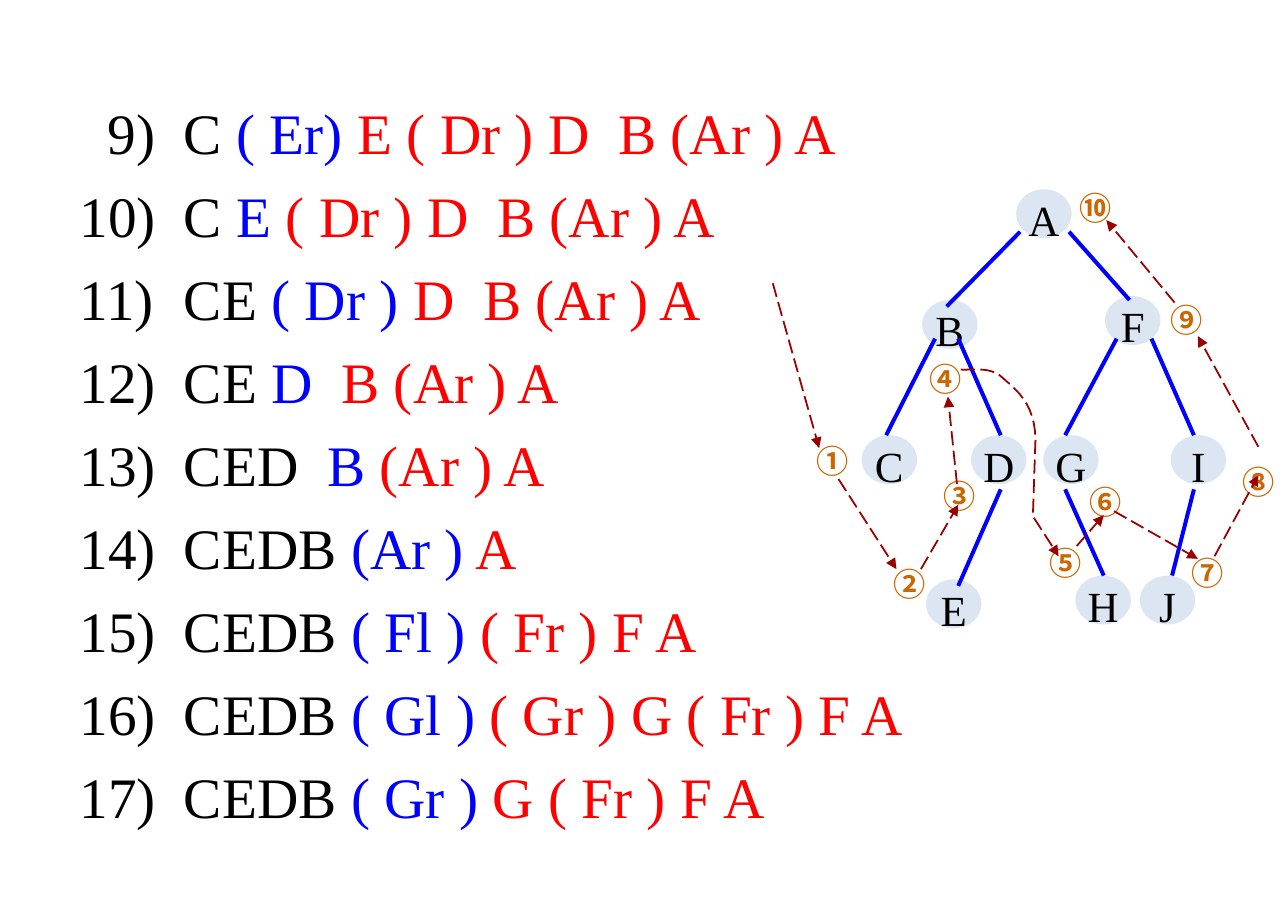
import pptx
import pptx.util
import pptx.dml.color
import pptx.enum.dml
import pptx.enum.shapes
import pptx.enum.text
import pptx.oxml

Inches = pptx.util.Inches
Pt = pptx.util.Pt
RGBColor = pptx.dml.color.RGBColor
Shape = pptx.enum.shapes.MSO_SHAPE
Align = pptx.enum.text.PP_ALIGN
Anchor = pptx.enum.text.MSO_ANCHOR

BLACK = RGBColor(0x00, 0x00, 0x00)
BLUE = RGBColor(0x00, 0x00, 0xFF)
RED = RGBColor(0xFF, 0x00, 0x00)
PALE = RGBColor(0xDC, 0xE6, 0xF2)
ORANGE = RGBColor(0xCC, 0x66, 0x00)
MAROON = RGBColor(0x99, 0x00, 0x00)
SERIF = "Times New Roman"
CJK = "Noto Sans CJK SC"

# Traversal steps from 9 on: output so far, current item, rest of the stack
FIRST = 9
STEPS = [
    ("C ", "( Er)", " E ( Dr ) D  B (Ar ) A"),
    ("C ", "E", " ( Dr ) D  B (Ar ) A"),
    ("CE ", "( Dr )", " D  B (Ar ) A"),
    ("CE ", "D", "  B (Ar ) A"),
    ("CED  ", "B ", "(Ar ) A"),
    ("CEDB ", "(Ar )", " A"),
    ("CEDB ", "( Fl ) ", "( Fr ) F A"),
    ("CEDB ", "( Gl ) ", "( Gr ) G ( Fr ) F A"),
    ("CEDB ", "( Gr )", " G ( Fr ) F A"),
]

# Tree nodes: left, top
NODES = {
    "A": (7.89, 1.47), "B": (7.16, 2.33), "F": (8.58, 2.3),
    "C": (6.69, 3.38), "D": (7.54, 3.38), "G": (8.1, 3.38),
    "I": (9.09, 3.38), "E": (7.19, 4.5), "H": (8.35, 4.47),
    "J": (8.85, 4.47),
}
EDGES = [
    ((7.92, 1.8), (7.35, 2.38)), ((8.3, 1.8), (8.77, 2.33)),
    ((7.26, 2.63), (6.88, 3.38)), ((7.44, 2.63), (7.77, 3.38)),
    ((8.67, 2.63), (8.27, 3.38)), ((8.94, 2.63), (9.27, 3.38)),
    ((7.77, 3.8), (7.44, 4.55)), ((8.27, 3.8), (8.57, 4.47)),
    ((9.27, 3.8), (9.1, 4.47)),
]

# Visit order: left, top of each mark
MARKS = {
    "①": (6.24, 3.38), "②": (6.84, 4.33), "③": (7.23, 3.65),
    "④": (7.12, 2.74), "⑤": (8.05, 4.17), "⑥": (8.36, 3.7),
    "⑦": (9.15, 4.25), "⑧": (9.55, 3.54), "⑨": (8.99, 2.28),
    "⑩": (8.28, 1.41),
}
ARROWS = [
    ((6, 2.2), (6.36, 3.48)), ((6.51, 3.72), (6.96, 4.42)),
    ((7.15, 4.42), (7.44, 3.92)), ((7.43, 3.76), (7.36, 3.08)),
    ((8.36, 4.24), (8.57, 4)), ((8.65, 3.97), (9.3, 4.34)),
    ((9.43, 4.32), (9.77, 3.69)), ((9.77, 3.47), (9.3, 2.61)),
    ((9.12, 2.35), (8.59, 1.71)),
]
# Bent arrow from mark 4 to mark 5: two Bezier arcs, then corners
ARCS = [
    ((7.46, 2.87), (7.51, 2.88), (7.69, 2.84), (7.78, 2.93)),
    ((7.78, 2.93), (7.88, 3.02), (8.04, 3.13), (8.04, 3.42)),
]
BENDS = [(8.02, 4.01), (8.22, 4.32)]

deck = pptx.Presentation()
deck.slide_width, deck.slide_height = Inches(10), Inches(7.09)
slide = deck.slides.add_slide(deck.slide_layouts[6])
shapes = slide.shapes


def write(para, text, size=32, font=SERIF, color=BLACK, bold=False):
    run = para.add_run()
    run.text = text
    run.font.size = Pt(size)
    run.font.name = font
    run.font.bold = bold
    run.font.color.rgb = color
    # East Asian glyphs take their font from a separate element
    tag = pptx.oxml.xmlchemy.OxmlElement("a:ea")
    tag.set("typeface", font)
    run.font._element.append(tag)


def add(parent, name, **attrs):
    tag = pptx.oxml.xmlchemy.OxmlElement(name)
    for key, value in attrs.items():
        tag.set(key, value)
    parent.append(tag)


def dash(shape):
    shape.line.color.rgb = MAROON
    shape.line.width = Pt(1)
    shape.line.dash_style = pptx.enum.dml.MSO_LINE.LONG_DASH
    add(shape.line._get_or_add_ln(), "a:tailEnd", type="triangle")


def link(start, end):
    line = shapes.add_connector(
        pptx.enum.shapes.MSO_CONNECTOR.STRAIGHT,
        *[Inches(v) for v in start + end])
    add(line._element.spPr, "a:effectLst")
    return line


def curve(arc, count=12):
    for i in range(1, count + 1):
        t = i / count
        mix = ((1 - t) ** 3, 3 * t * (1 - t) ** 2, 3 * t * t * (1 - t), t ** 3)
        yield tuple(sum(m * p[k] for m, p in zip(mix, arc)) for k in (0, 1))


# Step list: number, tab, then three coloured parts
box = shapes.add_textbox(Inches(0.52), Inches(0.71), Inches(9), Inches(5.98))
frame = box.text_frame
frame.word_wrap = True
HANG, DIGIT = 0.81, 0.22
for i, parts in enumerate(STEPS):
    para = frame.paragraphs[0] if i == 0 else frame.add_paragraph()
    num = str(FIRST + i)
    para.space_before = Pt(8)
    props = para._p.get_or_add_pPr()
    props.set("marL", str(Inches(HANG)))
    props.set("indent", str(Inches(DIGIT * (2 - len(num)) - HANG)))
    write(para, f"{num})\t")
    for text, color in zip(parts, (BLACK, BLUE, RED)):
        write(para, text, color=color)

# Tree nodes, then edges over them
for name, (x, y) in NODES.items():
    node = shapes.add_shape(Shape.OVAL, Inches(x), Inches(y),
                            Inches(0.43), Inches(0.38))
    node.shadow.inherit = False
    node.fill.solid()
    node.fill.fore_color.rgb = PALE
    node.line.fill.background()
    node.text_frame.word_wrap = False
    node.text_frame.vertical_anchor = Anchor.MIDDLE
    para = node.text_frame.paragraphs[0]
    para.alignment = Align.CENTER
    para.line_spacing = 1.2
    para.space_before = Pt(4.8)
    write(para, name, size=24)
for start, end in EDGES:
    edge = link(start, end)
    edge.line.color.rgb = BLUE
    edge.line.width = Pt(2.25)

# Visit marks
for mark, (x, y) in MARKS.items():
    box = shapes.add_textbox(Inches(x), Inches(y), Inches(0.49), Inches(0.4))
    box.text_frame.word_wrap = True
    write(box.text_frame.paragraphs[0], mark, size=18, font=CJK,
          color=ORANGE, bold=True)

# Dashed path between the marks
for start, end in ARROWS:
    dash(link(start, end))
route = [p for arc in ARCS for p in curve(arc)] + BENDS
pen = shapes.build_freeform(*[Inches(v) for v in ARCS[0][0]])
pen.add_line_segments([(Inches(x), Inches(y)) for x, y in route], close=False)
bent = pen.convert_to_shape()
bent.shadow.inherit = False
bent.fill.background()
dash(bent)

deck.save("out.pptx")
